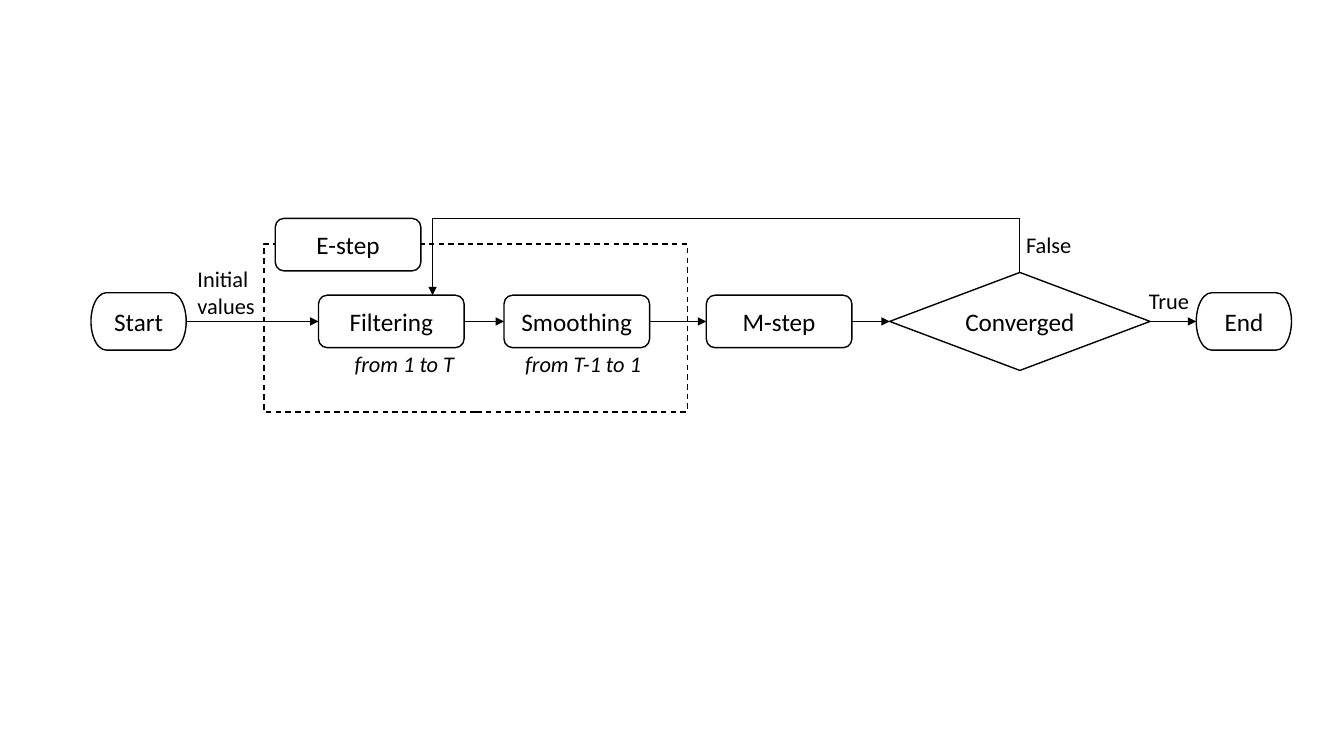
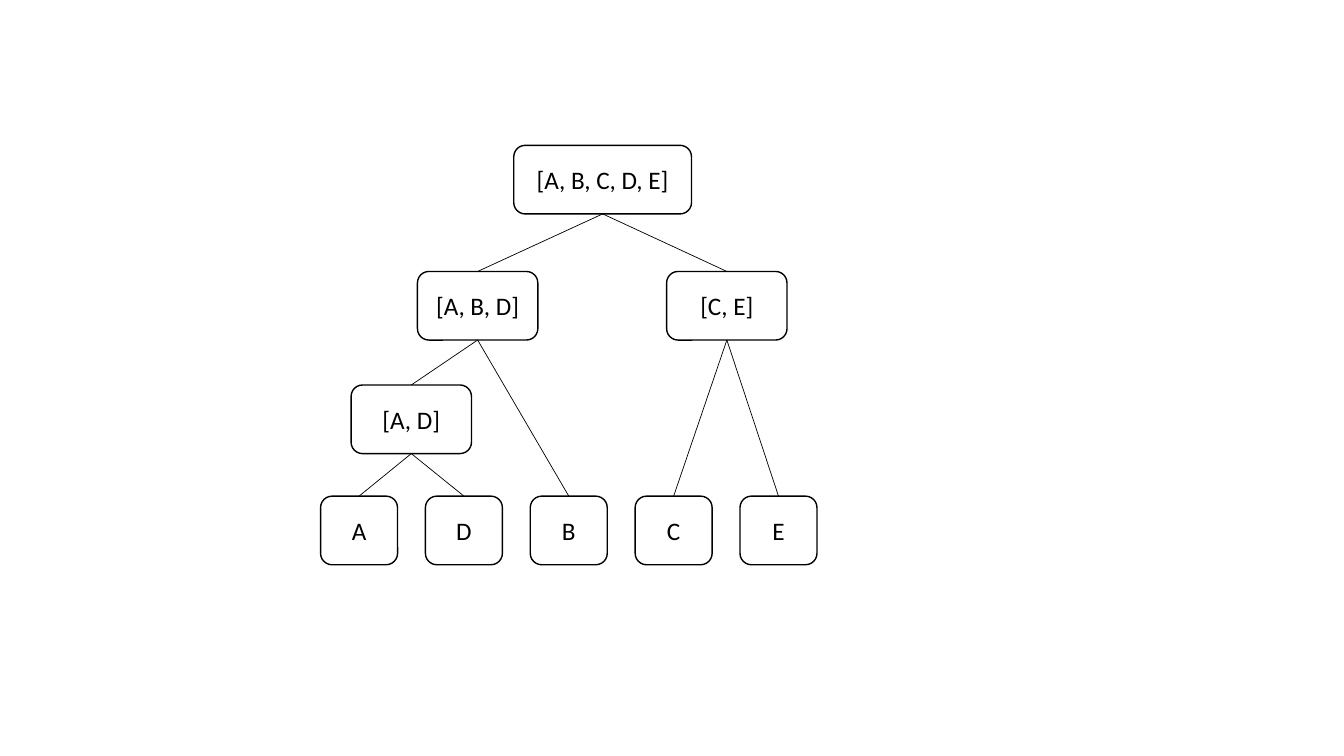
from lxml import etree
from pptx import Presentation
from pptx.dml.color import RGBColor
from pptx.enum import dml, shapes, text
from pptx.oxml import ns
from pptx.util import Pt

rgb = RGBColor.from_string
BLACK, WHITE = "000000", "FFFFFF"
FONT = "Calibri"
MSO = shapes.MSO_SHAPE
TOP, LEFT, BOTTOM, RIGHT = range(4)  # connection sites of a node

prs = Presentation()
prs.slide_width, prs.slide_height = Pt(960), Pt(540)
blank = prs.slide_layouts[6]


def block(s, kind, lines, x, y, w, h, italic=False):
    """Add a white node of the given kind, or a plain label if kind is None."""
    box = Pt(x), Pt(y), Pt(w), Pt(h)
    if kind is None:
        sp = s.shapes.add_textbox(*box)
        sp.text_frame.word_wrap = False
        sp.text_frame.auto_size = text.MSO_AUTO_SIZE.SHAPE_TO_FIT_TEXT
        size, align = 16, text.PP_ALIGN.LEFT
    else:
        sp = s.shapes.add_shape(kind, *box)
        sp.shadow.inherit = False
        sp.fill.solid()
        sp.fill.fore_color.rgb = rgb(WHITE)
        sp.line.color.rgb = rgb(BLACK)
        sp.line.width = Pt(1)
        sp.text_frame.vertical_anchor = text.MSO_ANCHOR.MIDDLE
        size, align = 18, text.PP_ALIGN.CENTER
    tf = sp.text_frame
    for i, line in enumerate(lines):
        p = tf.add_paragraph() if i else tf.paragraphs[0]
        p.alignment = align
        r = p.add_run()
        r.text = line
        r.font.name, r.font.size, r.font.italic = FONT, Pt(size), italic
        r.font.color.rgb = rgb(BLACK)
    return sp


def link(s, start=(0, 0), end=(0, 0), arrow=False):
    """Add a thin straight line, with an arrowhead at its end if asked."""
    c = s.shapes.add_connector(shapes.MSO_CONNECTOR.STRAIGHT,
                               *(Pt(v) for v in (*start, *end)))
    c.line.color.rgb = rgb(BLACK)
    c.line.width = Pt(0.5)
    if arrow:
        ln = c.line._get_or_add_ln()
        etree.SubElement(ln, ns.qn("a:tailEnd"), type="triangle")
    etree.SubElement(c._element.spPr, ns.qn("a:effectLst"))
    return c


# Slide 1: flow chart of the EM loop
s = prs.slides.add_slide(blank)
MID = 229.6
TERMINAL = MSO.FLOWCHART_TERMINATOR, 68, 41
STEP = MSO.FLOWCHART_ALTERNATE_PROCESS, 104, 37.5
DECISION = MSO.FLOWCHART_DECISION, 186, 70
flow = []
for label, x, (kind, w, h) in [
    ("Start", 65, TERMINAL),
    ("Filtering", 227.5, STEP),
    ("Smoothing", 360, STEP),
    ("M-step", 504.5, STEP),
    ("Converged", 635.5, DECISION),
    ("End", 854.5, TERMINAL),
]:
    flow.append(block(s, kind, [label], x, MID - h / 2, w, h))
for a, b in zip(flow, flow[1:]):
    c = link(s, arrow=True)
    c.begin_connect(a, RIGHT)
    c.end_connect(b, LEFT)

# Feedback line from the decision back to filtering
LOOP_Y, LOOP_X, TEST_X = 156, 309, 728.5
link(s, (TEST_X, MID - 35), (TEST_X, LOOP_Y))
link(s, (TEST_X, LOOP_Y), (LOOP_X, LOOP_Y))
link(s, (LOOP_X, LOOP_Y), (LOOP_X, MID - 18.75), arrow=True)

frame = block(s, MSO.RECTANGLE, [], 188.6, 174.2, 302.4, 120)
frame.fill.background()
frame.line.dash_style = dml.MSO_LINE.DASH
kind, w, h = STEP
block(s, kind, ["E-step"], 196.6, LOOP_Y, w, h)

for lines, x, y, w, h, italic in [
    (["Initial", "values"], 134, 185.8, 56, 46, False),
    (["from 1 to T"], 246.2, 246.4, 86.4, 26.6, True),
    (["from T-1 to 1"], 368, 246.4, 100, 26.6, True),
    (["True"], 813.6, 201.8, 44, 26.6, False),
    (["False"], 725.8, 161.8, 47.5, 26.6, False),
]:
    block(s, None, lines, x, y, w, h, italic)

# Slide 2: cluster tree
s = prs.slides.add_slide(blank)
NODE_H = 49
LEAF_X, LEAF_STEP, LEAF_Y = 256.5, 74.9, 354.4
tree = [
    ("[A, B, C, D, E]", 430.5, 103.8, 127),
    ("[A, B, D]", 341.2, 193.9, 86),
    ("[C, E]", 519.2, 193.9, 86),
    ("[A, D]", 293.8, 275, 86),
]
tree += [(leaf, LEAF_X + i * LEAF_STEP, LEAF_Y, 55)
         for i, leaf in enumerate("ADBCE")]
nodes = {}
for label, cx, y, w in tree:
    nodes[label] = block(s, MSO.ROUNDED_RECTANGLE, [label],
                         cx - w / 2, y, w, NODE_H)
for parent, children in [
    ("[A, B, C, D, E]", ["[A, B, D]", "[C, E]"]),
    ("[A, B, D]", ["[A, D]", "B"]),
    ("[C, E]", ["C", "E"]),
    ("[A, D]", ["A", "D"]),
]:
    for child in children:
        c = link(s)
        c.begin_connect(nodes[parent], BOTTOM)
        c.end_connect(nodes[child], TOP)

prs.save("out.pptx")
